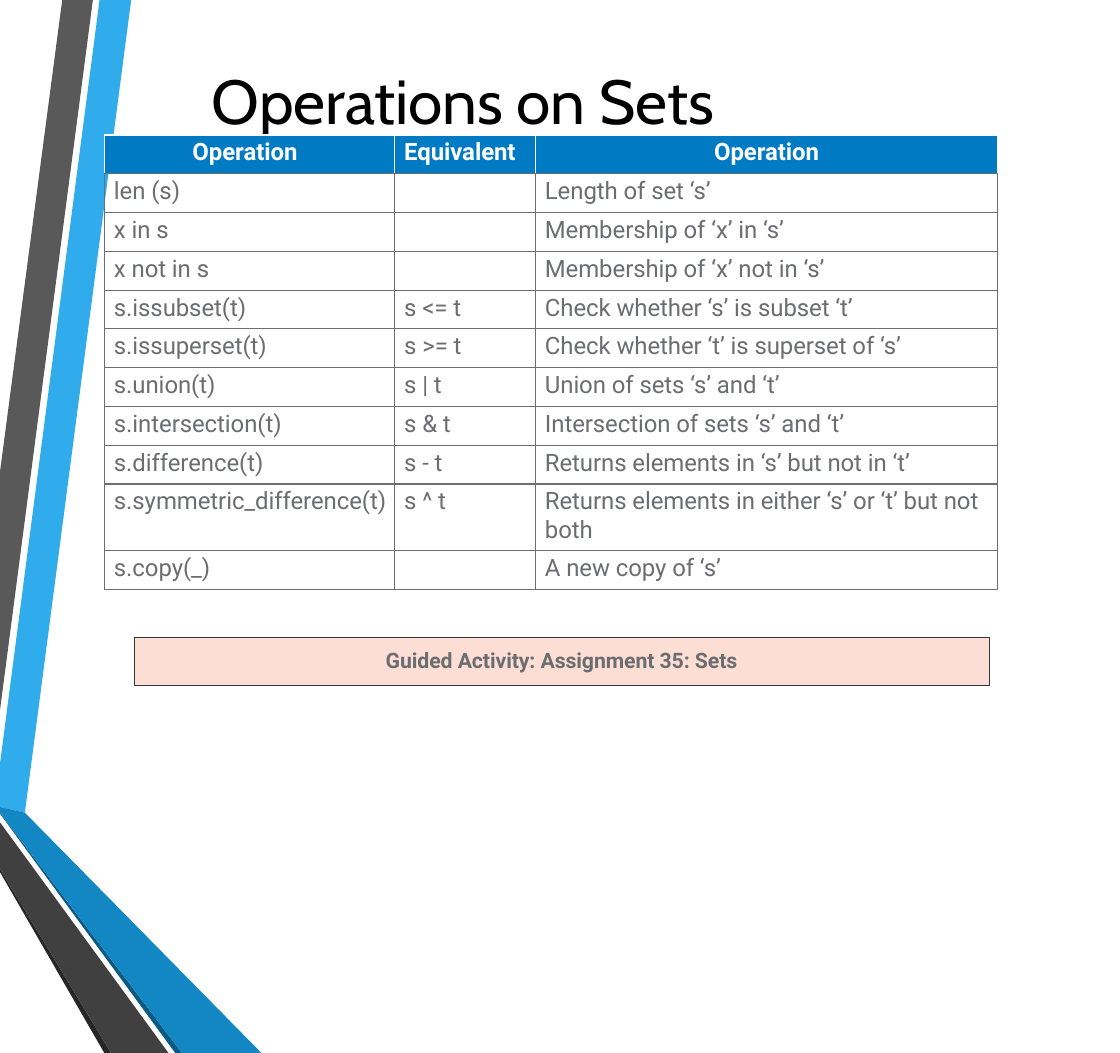
from lxml import etree
from pptx import Presentation
from pptx.dml.color import RGBColor
from pptx.enum import shapes, text
from pptx.oxml import ns
from pptx.util import Inches, Pt

WHITE = RGBColor(0xFF, 0xFF, 0xFF)
BLACK = RGBColor(0, 0, 0)
GRAY = RGBColor(0x6C, 0x6D, 0x70)
GRID = RGBColor(0x6D, 0x6E, 0x70)
HEAD = RGBColor(0, 0x7B, 0xC3)
PEACH = RGBColor(0xFC, 0xDE, 0xD4)
EDGE = RGBColor(0x35, 0x36, 0x38)

# Ribbons from back to front: colour and corners
RIBBONS = [
    (RGBColor(0x30, 0xAC, 0xEC),
     [(0, 7.98), (0, 8.43), (0.26, 8.49), (1.37, 0), (1.04, 0)]),
    (RGBColor(0x59, 0x59, 0x59),
     [(0.97, 0), (0.65, 0), (0, 4.93), (0, 7.42)]),
    (RGBColor(0x26, 0x26, 0x26),
     [(0, 9.08), (0, 9.11), (1.09, 11), (1.16, 11)]),
    (RGBColor(0x0C, 0x5A, 0x82),
     [(0, 8.49), (0, 8.5), (1.83, 11), (1.9, 11)]),
    (RGBColor(0x12, 0x87, 0xC3),
     [(0, 8.49), (1.9, 11), (2.73, 11), (0.26, 8.49), (0, 8.43)]),
    (RGBColor(0x40, 0x40, 0x40),
     [(0, 9.08), (1.16, 11), (1.76, 11), (0, 8.59)]),
]

ROWS = [
    ("Operation", "Equivalent", "Operation"),
    ("len (s)", "", "Length of set ‘s’"),
    ("x in s", "", "Membership of ‘x’ in ‘s’"),
    ("x not in s", "", "Membership of ‘x’ not in ‘s’"),
    ("s.issubset(t)", "s <= t", "Check whether ‘s’ is subset ‘t’"),
    ("s.issuperset(t)", "s >= t", "Check whether ‘t’ is superset of ‘s’"),
    ("s.union(t)", "s | t", "Union of sets ‘s’ and ‘t’"),
    ("s.intersection(t)", "s & t", "Intersection of sets ‘s’ and ‘t’"),
    ("s.difference(t)", "s - t", "Returns elements in ‘s’ but not in ‘t’"),
    ("s.symmetric_difference(t)", "s ^ t",
     "Returns elements in either ‘s’ or ‘t’ but not  both"),
    ("s.copy(_)", "", "A new copy of ‘s’"),
]
WIDTHS = (3.03, 1.47, 4.83)
TALL = 9  # the row whose text takes two lines


def write(frame, words, font, size, color, bold=False, align=None, before=0):
    frame.text = words
    par = frame.paragraphs[0]
    par.alignment = align
    par.space_before = Pt(before)
    for run in par.runs:
        face = run.font
        face.name, face.size, face.bold = font, Pt(size), bold
        face.color.rgb = color
        face._element.set("spc", "-5")


def pad(item, left=0, top=0, bottom=0):
    item.margin_left, item.margin_top = Inches(left), Inches(top)
    item.margin_right, item.margin_bottom = 0, Inches(bottom)


def add_ribbons(slide, left, top):
    for color, points in RIBBONS:
        spots = [(Inches(left + x), Inches(top + y)) for x, y in points]
        pen = slide.shapes.build_freeform(*spots[0])
        pen.add_line_segments(spots[1:], close=True)
        ribbon = pen.convert_to_shape()
        ribbon.shadow.inherit = False
        ribbon.fill.solid()
        ribbon.fill.fore_color.rgb = color
        ribbon.line.fill.background()


def set_title(slide, left, top, width, height):
    title = slide.shapes.title
    title.left, title.top = Inches(left), Inches(top)
    title.width, title.height = Inches(width), Inches(height)
    frame = title.text_frame
    frame.auto_size = text.MSO_AUTO_SIZE.NONE
    frame.vertical_anchor = text.MSO_ANCHOR.MIDDLE
    pad(frame, top=0.01)
    write(frame, "Operations on Sets", "Cabin", 46.8, BLACK,
          align=text.PP_ALIGN.CENTER, before=0.9)


def add_borders(cell, colors):
    """Draw 1 pt borders; colors maps a side (L, R, T, B) to its colour."""
    props = cell._tc.get_or_add_tcPr()
    for spot, (side, color) in enumerate(colors.items()):
        line = etree.Element(ns.qn(f"a:ln{side}"), w=str(Pt(1)))
        fill = etree.SubElement(line, ns.qn("a:solidFill"))
        etree.SubElement(fill, ns.qn("a:srgbClr"), val=str(color))
        props.insert(spot, line)


def add_operations(slide, left, top, width, height):
    frame = slide.shapes.add_table(
        len(ROWS), len(WIDTHS), Inches(left), Inches(top),
        Inches(width), Inches(height))
    table = frame.table
    for col, span in zip(table.columns, WIDTHS):
        col.width = Inches(width * span / sum(WIDTHS))
    extra = 0.29
    base = (height - extra) / len(ROWS)
    for r, words in enumerate(ROWS):
        table.rows[r].height = Inches(base + extra * (r == TALL))
        head = r == 0
        rim = WHITE if head else GRID
        for c, word in enumerate(words):
            cell = table.cell(r, c)
            pad(cell, left=0.1, top=0.04)
            align = None
            if head and c == 0:
                cell.margin_left = Inches(0.92)
            elif head and c == 2:
                cell.margin_left = 0
                align = text.PP_ALIGN.CENTER
            write(cell.text_frame, word, "Roboto", 18,
                  WHITE if head else GRAY, head, align, before=3)
            if head:
                cell.fill.solid()
                cell.fill.fore_color.rgb = HEAD
            else:
                cell.fill.background()
            add_borders(cell, {"L": rim, "R": rim, "T": rim, "B": GRID})


def add_banner(slide, left, top, width, height):
    banner = slide.shapes.add_shape(
        shapes.MSO_SHAPE.RECTANGLE, Inches(left), Inches(top),
        Inches(width), Inches(height))
    banner.shadow.inherit = False
    banner.fill.solid()
    banner.fill.fore_color.rgb = PEACH
    banner.line.color.rgb = EDGE
    banner.line.width = Pt(0.75)
    frame = banner.text_frame
    frame.word_wrap = True
    frame.vertical_anchor = text.MSO_ANCHOR.MIDDLE
    pad(frame, bottom=0.03)
    write(frame, "Guided Activity: Assignment 35: Sets", "Roboto", 16, GRAY,
          True, text.PP_ALIGN.CENTER)


def main():
    deck = Presentation()
    deck.slide_width, deck.slide_height = Pt(842), Pt(792)  # A4 by Letter
    slide = deck.slides.add_slide(deck.slide_layouts[5])
    add_ribbons(slide, 0, 0)
    set_title(slide, 2.16, 0.71, 5.35, 0.66)
    add_operations(slide, 1.09, 1.41, 9.33, 4.75)
    add_banner(slide, 1.4, 6.66, 8.93, 0.5)
    deck.save("out.pptx")


if __name__ == "__main__":
    main()
